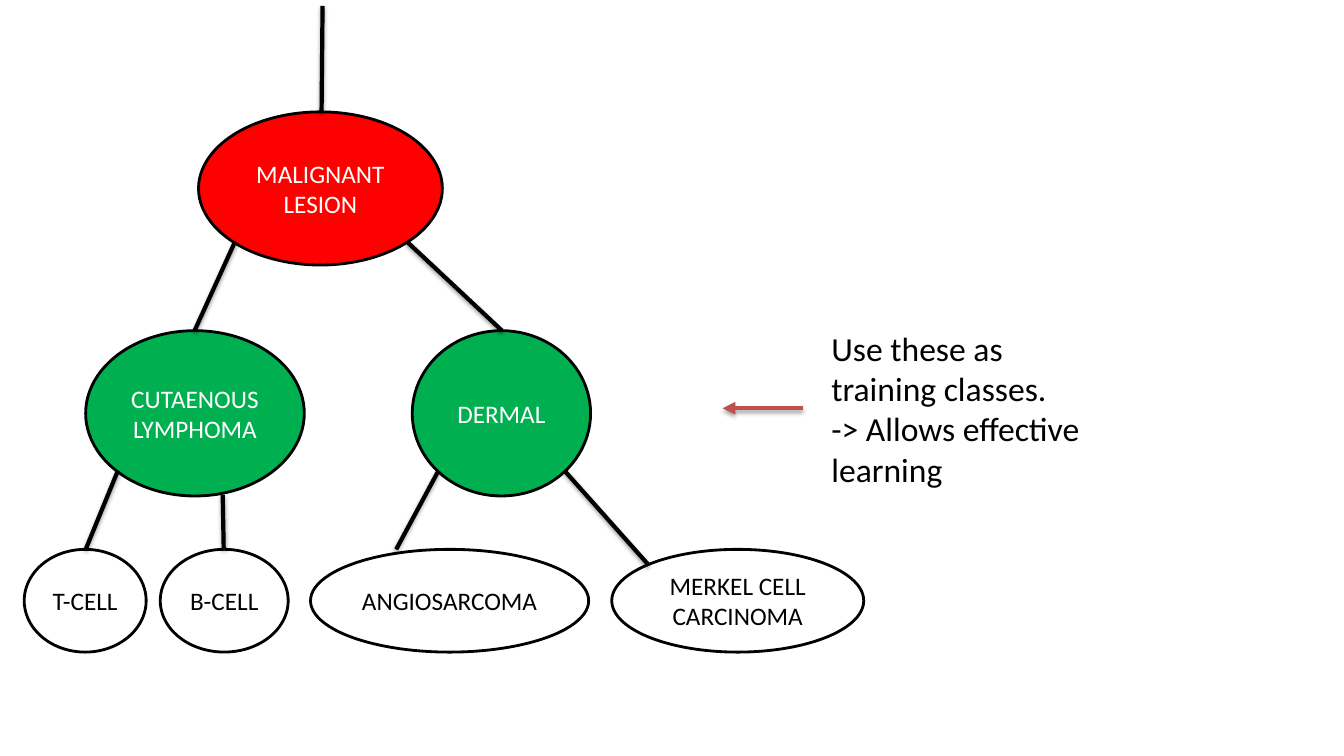
"""Build the slide with the decision tree of malignant skin lesions."""
from lxml.etree import SubElement
from pptx import Presentation
from pptx.dml.color import RGBColor
from pptx.enum.shapes import MSO_CONNECTOR as CXN, MSO_SHAPE as SHAPE
from pptx.enum.text import MSO_ANCHOR as ANCHOR, MSO_AUTO_SIZE as FIT, PP_ALIGN as ALIGN
from pptx.oxml.ns import qn
from pptx.util import Pt

FONT = "Calibri"
BLACK, WHITE, RED, GREEN, BRICK = "000000", "FFFFFF", "FF0000", "00B050", "C0504D"
LEVEL_2 = (236.2, 118.1)
LEAVES = (392.4, 73.4)

NODES = [
    ("MALIGNANT LESION", 141.8, 174.2, (79.9, 109.4), RED, WHITE),
    ("CUTAENOUS LYMPHOMA", 61.2, 156.2, LEVEL_2, GREEN, WHITE),
    ("DERMAL", 294.5, 127.4, LEVEL_2, GREEN, WHITE),
    ("B-CELL", 114.5, 91.4, LEAVES, WHITE, BLACK),
    ("T-CELL", 17.3, 87.1, LEAVES, WHITE, BLACK),
    ("ANGIOSARCOMA", 221.8, 198.7, LEAVES, WHITE, BLACK),
    ("MERKEL CELL CARCINOMA", 437, 180, LEAVES, WHITE, BLACK),
]

BRANCHES = [
    (313.2, 336.2, 283, 392.4),
    (403.2, 336.2, 463, 403.2),
    (159.1, 353.5, 159.8, 392.4),
    (84.2, 336.2, 61.2, 392.4),
    (290.9, 172.8, 358.6, 236.2),
    (139, 236.2, 167.8, 172.8),
    (230.4, 4.3, 229.7, 79.9),
]


def rgb(color):
    return RGBColor.from_string(color)


def add_run(p, text, size, color):
    r = p.add_run()
    r.text = text
    r.font.name = FONT
    r.font.size = Pt(size)
    r.font.color.rgb = rgb(color)


def add_node(s, text, left, width, row, fill, color):
    top, height = row
    sp = s.shapes.add_shape(SHAPE.OVAL, Pt(left), Pt(top), Pt(width), Pt(height))
    sp.shadow.inherit = False
    sp.fill.solid()
    sp.fill.fore_color.rgb = rgb(fill)
    sp.line.color.rgb = rgb(BLACK)
    sp.line.width = Pt(2)
    tf = sp.text_frame
    tf.word_wrap = True
    tf.vertical_anchor = ANCHOR.MIDDLE
    p = tf.paragraphs[0]
    p.alignment = ALIGN.CENTER
    add_run(p, text, 18, color)


def add_shadow(sp, dist, opacity):
    effects = SubElement(sp._element.spPr, qn("a:effectLst"))
    shadow = SubElement(effects, qn("a:outerShdw"), blurRad=str(Pt(3.1)),
                        dist=str(Pt(dist)), dir="5400000", rotWithShape="0")
    color = SubElement(shadow, qn("a:srgbClr"), val=BLACK)
    SubElement(color, qn("a:alpha"), val=str(opacity * 1000))


def add_line(s, points, color=BLACK, arrow=False):
    sp = s.shapes.add_connector(CXN.STRAIGHT, *[Pt(v) for v in points])
    sp.line.color.rgb = rgb(color)
    sp.line.width = Pt(3)
    if arrow:
        SubElement(sp.line._get_or_add_ln(), qn("a:tailEnd"), type="triangle")
        add_shadow(sp, 1.8, 35)
    else:
        add_shadow(sp, 1.6, 38)


def add_note(s, lines, left, top, width, height):
    tf = s.shapes.add_textbox(Pt(left), Pt(top), Pt(width), Pt(height)).text_frame
    tf.word_wrap = True
    tf.auto_size = FIT.SHAPE_TO_FIT_TEXT
    for i, line in enumerate(lines):
        p = tf.add_paragraph() if i else tf.paragraphs[0]
        add_run(p, line, 24, BLACK)


def main():
    prs = Presentation()
    prs.slide_width, prs.slide_height = Pt(960), Pt(540)
    s = prs.slides.add_slide(prs.slide_layouts[6])
    for node in NODES:
        add_node(s, *node)
    for branch in BRANCHES:
        add_line(s, branch)
    add_note(s, ["Use these as training classes.", "-> Allows effective learning"],
             586.8, 230.4, 213.8, 123.8)
    add_line(s, (573.8, 291.6, 516.2, 291.6), BRICK, arrow=True)
    prs.save("out.pptx")


if __name__ == "__main__":
    main()
